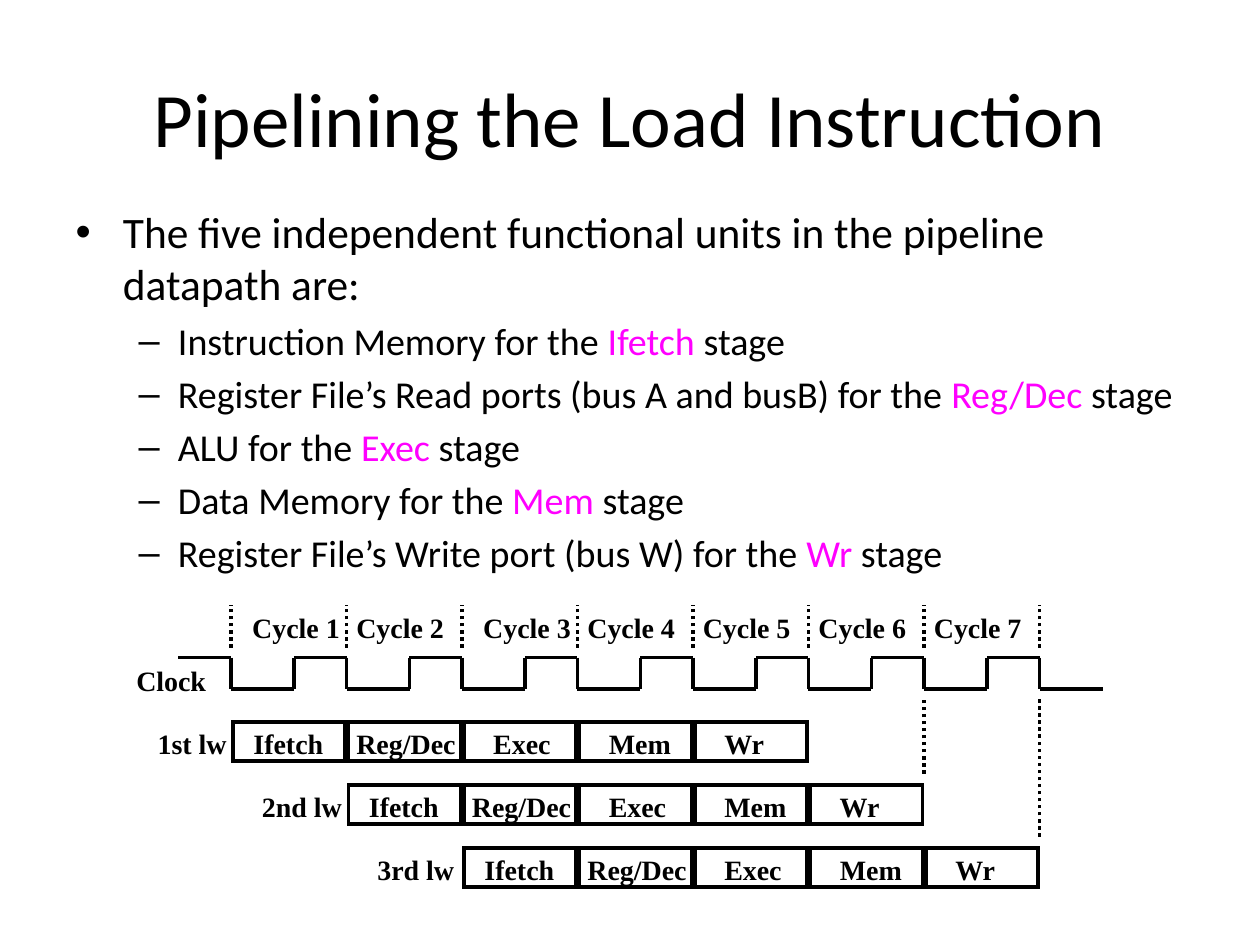
from lxml import etree
from pptx import Presentation
from pptx.dml.color import RGBColor
from pptx.enum.dml import MSO_LINE
from pptx.enum.shapes import MSO_CONNECTOR, MSO_SHAPE
from pptx.enum.text import MSO_ANCHOR, MSO_AUTO_SIZE, PP_ALIGN
from pptx.oxml.ns import qn
from pptx.util import Inches, Pt

BLACK = RGBColor(0x00, 0x00, 0x00)
MAGENTA = RGBColor(0xFF, 0x00, 0xFF)
SANS, SERIF = "Calibri", "Times New Roman"

CYCLE = 11 / 12         # width of one clock cycle
LOW = 0.5               # low part of a cycle
ROW = 0.5               # distance between instructions
SLACK = 0.02            # spare width that keeps a label on one line
LINE_W = Pt(2)

LEAD = "The five independent functional units in the pipeline datapath are:"
UNITS = [
    ("Instruction Memory for the ", "Ifetch"),
    ("Register File\u2019s Read ports (bus A and busB) for the ", "Reg/Dec"),
    ("ALU for the ", "Exec"),
    ("Data Memory for the ", "Mem"),
    ("Register File\u2019s Write port (bus W) for the ", "Wr"),
]
# stage name, text offset in its cycle, text width
STAGES = [("Ifetch", 0.08, 0.75), ("Reg/Dec", -0.02, 0.99), ("Exec", 0.15, 0.65),
          ("Mem", 0.15, 0.69), ("Wr", 0.15, 0.52)]
# instruction, text offset from its first cycle, text width
LOADS = [("1st lw", -0.68, 0.75), ("2nd lw", -0.77, 0.83), ("3rd lw", -0.77, 0.81)]
CYCLE_OFFSETS = [0.07, -0.02, 0.07, -0.02, -0.02, -0.02, -0.02]


def add_run(p, text, size, font=SANS, color=BLACK, bold=False):
    """Append one formatted run to a paragraph."""
    r = p.add_run()
    r.text = text
    r.font.size, r.font.name, r.font.bold = Pt(size), font, bold
    r.font.color.rgb = color


def place(sp, left, top, width, height):
    """Move and size a shape, in inches."""
    sp.left, sp.top = Inches(left), Inches(top)
    sp.width, sp.height = Inches(width), Inches(height)


def add_label(shapes, text, left, top, width):
    """Add a bold one-line diagram label."""
    sp = shapes.add_textbox(Inches(left), Inches(top), Inches(width + SLACK),
                            Inches(0.36))
    tf = sp.text_frame
    tf.word_wrap = False
    tf.auto_size = MSO_AUTO_SIZE.SHAPE_TO_FIT_TEXT
    add_run(tf.paragraphs[0], text, 16, SERIF, bold=True)


def add_line(shapes, x1, y1, x2, y2, dotted=False):
    """Add a straight line, solid or dotted."""
    ln = shapes.add_connector(MSO_CONNECTOR.STRAIGHT, Inches(x1), Inches(y1),
                              Inches(x2), Inches(y2))
    ln.line.color.rgb, ln.line.width = BLACK, LINE_W
    if dotted:
        ln.line.dash_style = MSO_LINE.ROUND_DOT
    etree.SubElement(ln._element.spPr, qn("a:effectLst"))


def fill_title(sp, text):
    """Place and write the slide title."""
    place(sp, 0.5, 0.3, 9, 1.25)
    tf = sp.text_frame
    tf.vertical_anchor = MSO_ANCHOR.MIDDLE
    p = tf.paragraphs[0]
    p.alignment = PP_ALIGN.CENTER
    add_run(p, text, 44)


def fill_body(sp):
    """Place the bullet list and write the functional units."""
    place(sp, 0.5, 1.58, 9, 2.97)
    tf = sp.text_frame
    tf.auto_size = MSO_AUTO_SIZE.NONE
    add_run(tf.paragraphs[0], LEAD, 24.8)
    for unit, stage in UNITS:
        p = tf.add_paragraph()
        p.level = 1
        add_run(p, unit, 21.7)
        add_run(p, stage, 21.7, color=MAGENTA)
        add_run(p, " stage", 21.7)


def draw_clock(shapes, left, top):
    """Draw the clock wave and cycle names; left is the first falling edge."""
    high, low = top + 0.42, top + 0.67
    add_label(shapes, "Clock", left - 0.85, high, 0.75)
    count = len(CYCLE_OFFSETS)
    for i in range(count + 1):
        x = left + i * CYCLE
        rise = x + LOW
        add_line(shapes, rise - CYCLE, high, x, high)
        add_line(shapes, x, high, x, low)
        add_line(shapes, x, low, rise, low)
        add_line(shapes, x, top + 0.34, x, top, dotted=True)
        if i < count:
            add_line(shapes, rise, low, rise, high)
            add_label(shapes, f"Cycle {i + 1}", x + CYCLE_OFFSETS[i], top, 0.9)


def draw_load(shapes, left, top, load):
    """Draw one load instruction as a row of five stages."""
    name, offset, width = load
    for i, (stage, shift, stage_w) in enumerate(STAGES):
        x = left + i * CYCLE
        sp = shapes.add_shape(MSO_SHAPE.RECTANGLE, Inches(x + 0.015), Inches(top + 0.01),
                              Inches(0.89), Inches(0.31))
        sp.shadow.inherit = False
        sp.fill.background()
        sp.line.color.rgb, sp.line.width = BLACK, LINE_W
        etree.SubElement(sp.line._get_or_add_ln(), qn("a:miter"), lim="800000")
        add_label(shapes, stage, x + shift, top, stage_w)
    add_label(shapes, name, left + offset, top, width)


def draw_pipeline(shapes, left, top):
    """Draw the timing diagram of three overlapping loads."""
    draw_clock(shapes, left, top)
    for i, load in enumerate(LOADS):
        x, y = left + i * CYCLE, top + 0.92 + i * ROW
        draw_load(shapes, x, y, load)
        if i:
            end = x + len(STAGES) * CYCLE
            add_line(shapes, end, y - 0.08, end, top + 0.75, dotted=True)


def main():
    """Build and save the slide."""
    prs = Presentation()
    prs.slide_width, prs.slide_height = Inches(10), Inches(7.5)
    s = prs.slides.add_slide(prs.slide_layouts[1])
    fill_title(s.shapes.title, "Pipelining the Load Instruction")
    fill_body(s.placeholders[1])
    draw_pipeline(s.shapes, 2 * CYCLE, 4.8)
    prs.save("out.pptx")


main()
